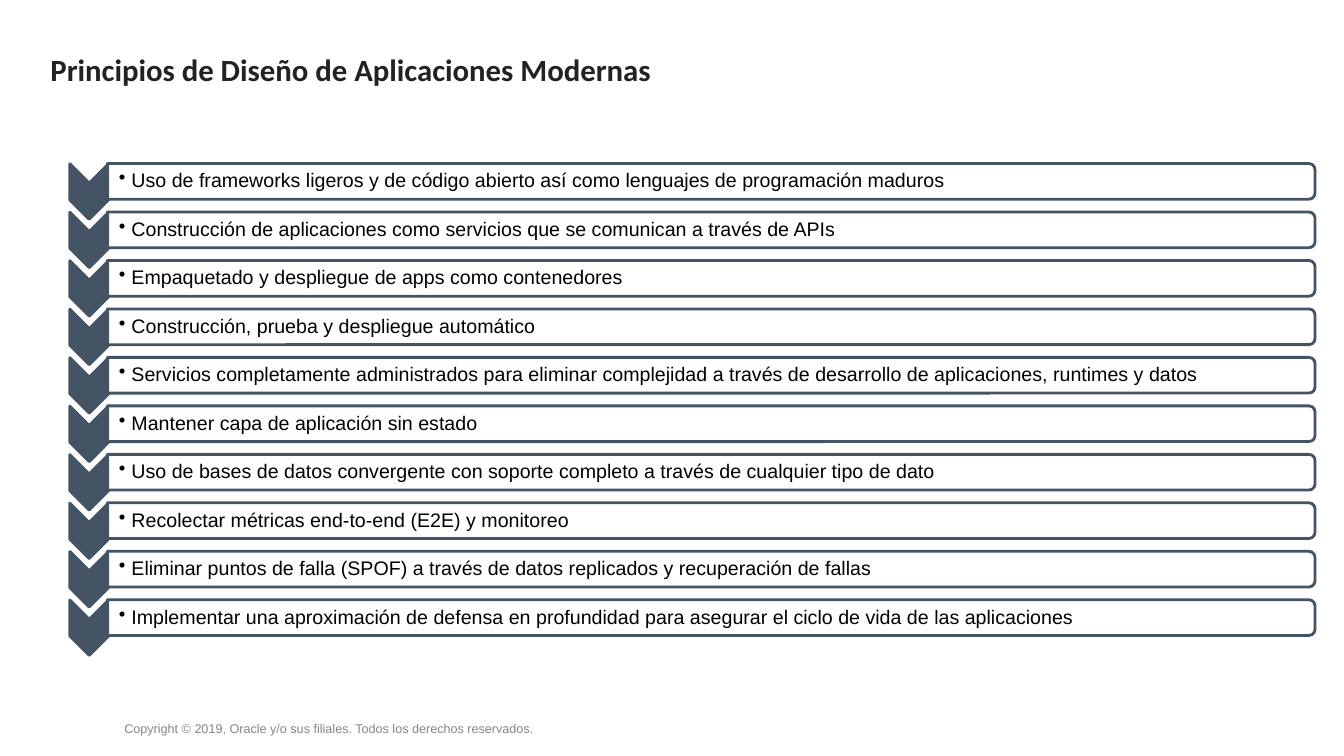
from lxml import etree
from pptx import Presentation
from pptx import util as u
from pptx.dml.color import RGBColor
from pptx.enum import shapes, text
from pptx.oxml import ns

Pt = u.Pt
COLORS = {
    "title": "222222",
    "slate": "445464",
    "panel": "FFFFFF",
    "body": "000000",
    "footer": "8B8580",
}
PRINCIPLES = [
    "Uso de frameworks ligeros y de código abierto así como lenguajes de programación maduros",
    "Construcción de aplicaciones como servicios que se comunican a través de APIs",
    "Empaquetado y despliegue de apps como contenedores",
    "Construcción, prueba y despliegue automático",
    "Servicios completamente administrados para eliminar complejidad a través de desarrollo de aplicaciones, runtimes y datos",
    "Mantener capa de aplicación sin estado",
    "Uso de bases de datos convergente con soporte completo a través de cualquier tipo de dato",
    "Recolectar métricas end-to-end (E2E) y monitoreo",
    "Eliminar puntos de falla (SPOF) a través de datos replicados y recuperación de fallas",
    "Implementar una aproximación de defensa en profundidad para asegurar el ciclo de vida de las aplicaciones",
]
FIRST_ROW_CENTER = 129.6
ROW_PITCH = 34.62


def color(name):
    return RGBColor.from_string(COLORS[name])


def style_text(paragraph, font, size, color_name, bold=False):
    for run in paragraph.runs:
        run.font.name = font
        run.font.size = Pt(size)
        run.font.bold = bold
        run.font.color.rgb = color(color_name)


def set_frame(frame, anchor, left=0, other=0):
    frame.word_wrap = True
    frame.auto_size = text.MSO_AUTO_SIZE.NONE
    frame.vertical_anchor = anchor
    frame.margin_left = Pt(left)
    frame.margin_top = frame.margin_right = frame.margin_bottom = Pt(other)


def add_title(slide, wording):
    title = slide.shapes.title
    title.left, title.top, title.width, title.height = Pt(36), Pt(36), Pt(888), Pt(36)
    set_frame(title.text_frame, text.MSO_ANCHOR.TOP)
    title.text_frame.text = wording
    heading = title.text_frame.paragraphs[0]
    heading.alignment = text.PP_ALIGN.LEFT
    style_text(heading, "Calibri", 22, "title", bold=True)


def add_turned_shape(slide, preset, center_x, center_y, length, thickness, fill):
    turned = slide.shapes.add_shape(
        preset, Pt(center_x - length / 2), Pt(center_y - thickness / 2),
        Pt(length), Pt(thickness))
    turned.rotation = 90
    turned.shadow.inherit = False
    turned.fill.solid()
    turned.fill.fore_color.rgb = color(fill)
    turned.line.color.rgb = color("slate")
    turned.line.width = Pt(2)
    return turned


def set_opacity(panel, percent):
    fill_color = panel.fill._xPr.find(ns.qn("a:solidFill"))[0]
    etree.SubElement(fill_color, ns.qn("a:alpha"), val=str(percent * 1000))


def add_bullet(paragraph, indent):
    properties = paragraph._p.get_or_add_pPr()
    properties.set("marL", str(Pt(indent)))
    properties.set("indent", str(-Pt(indent)))
    bullet_color = etree.SubElement(properties, ns.qn("a:buClr"))
    etree.SubElement(bullet_color, ns.qn("a:srgbClr"), val=COLORS["body"])
    etree.SubElement(properties, ns.qn("a:buChar"), char="•")


def add_principle(slide, wording, center_y):
    add_turned_shape(slide, shapes.MSO_SHAPE.CHEVRON,
                     63.7, center_y + 7.2, 39.6, 27.7, "slate")
    panel = add_turned_shape(slide, shapes.MSO_SHAPE.ROUND_2_SAME_RECTANGLE,
                             508, center_y, 25.5, 862.6, "panel")
    set_opacity(panel, 90)
    label = slide.shapes.add_textbox(Pt(77), Pt(center_y - 11.5), Pt(861), Pt(23))
    set_frame(label.text_frame, text.MSO_ANCHOR.MIDDLE, left=7.9, other=0.7)
    label.text_frame.text = wording
    principle = label.text_frame.paragraphs[0]
    add_bullet(principle, 9)
    principle.level = 1
    principle.line_spacing = 0.9
    principle.space_after = Pt(2.1)
    style_text(principle, "Arial", 14, "body")


def add_copyright(slide, wording):
    footer = slide.shapes.add_textbox(Pt(88.8), Pt(506), Pt(452), Pt(29))
    set_frame(footer.text_frame, text.MSO_ANCHOR.MIDDLE)
    footer.text_frame.text = wording
    style_text(footer.text_frame.paragraphs[0], "Arial", 9, "footer")


def main():
    deck = Presentation()
    deck.slide_width, deck.slide_height = Pt(960), Pt(540)
    slide = deck.slides.add_slide(deck.slide_layouts[5])
    add_title(slide, "Principios de Diseño de Aplicaciones Modernas")
    for row, wording in enumerate(PRINCIPLES):
        add_principle(slide, wording, FIRST_ROW_CENTER + row * ROW_PITCH)
    add_copyright(slide, "Copyright © 2019, Oracle y/o sus filiales. Todos los derechos reservados.")
    deck.save("out.pptx")


if __name__ == "__main__":
    main()
